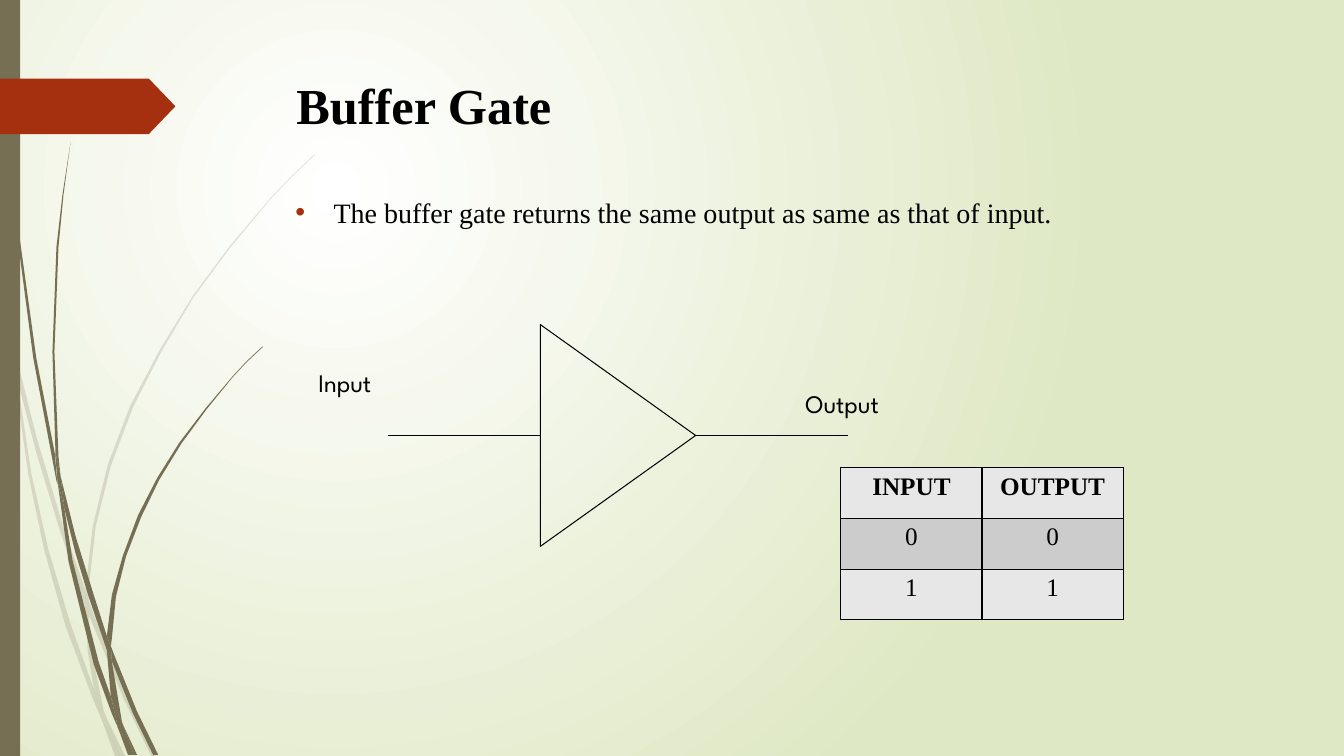
from lxml import etree
from pptx import Presentation
from pptx.dml.color import RGBColor
from pptx.enum.shapes import MSO_CONNECTOR, MSO_SHAPE
from pptx.enum.text import PP_ALIGN
from pptx.oxml.ns import qn
from pptx.util import Inches, Pt

WHITE = RGBColor(0xFF, 0xFF, 0xFF)
PALE_GREEN = RGBColor(0xDF, 0xE8, 0xC4)
OLIVE = RGBColor(0x76, 0x6F, 0x54)
RUST = RGBColor(0xA5, 0x30, 0x10)
BLACK = RGBColor(0, 0, 0)
LIGHT_GRAY = RGBColor(0xE7, 0xE7, 0xE7)
MID_GRAY = RGBColor(0xCC, 0xCC, 0xCC)

SERIF = "Times New Roman"
LABEL_FONT = "League Spartan"

FADED_BLADES = [
    [(0.11, 3.5), (0.09, 3.22), (0, 2.82), (0, 2.99), (0.1, 3.44)],
    [(0.58, 5.22), (0.84, 5.99), (0.85, 5.86), (0.62, 5.2), (0.36, 4.33), (0.14, 3.45),
     (0.17, 3.76), (0.36, 4.49)],
    [(0.92, 6.07), (0.88, 5.96), (0.88, 6.1), (1.23, 6.94), (1.5, 7.5), (1.55, 7.5),
     (1.27, 6.92)],
    [(1.19, 7.5), (1.24, 7.5), (1.05, 7.11)],
    [(0.93, 6.83), (0.7, 6.19), (0.48, 5.45), (0.31, 4.69), (0.17, 3.76), (0.11, 3.5),
     (0.28, 4.7), (0.44, 5.46), (0.65, 6.21), (0.92, 6.93), (1.01, 7.14), (0.99, 7.07)],
    [(0.84, 5.99), (0.87, 6.46), (0.93, 6.83), (0.96, 6.92), (1.05, 7.11), (1.03, 7.06),
     (0.91, 6.46), (0.88, 6.1), (0.88, 6.08)],
    [(0.88, 5.84), (0.95, 5.22), (1.1, 4.62), (1.32, 4.04), (1.6, 3.49), (1.92, 2.95),
     (2.29, 2.45), (2.68, 1.98), (2.9, 1.75), (3.12, 1.54), (3.12, 1.53), (2.89, 1.75),
     (2.68, 1.97), (2.28, 2.44), (1.91, 2.94), (1.58, 3.48), (1.29, 4.03), (1.07, 4.61),
     (0.92, 5.22), (0.85, 5.84), (0.85, 5.86), (0.88, 5.96)],
    [(1.01, 7.14), (1.14, 7.5), (1.19, 7.5)],
    [(0.88, 6.08), (0.88, 6.1), (0.88, 5.96), (0.85, 5.86), (0.84, 5.99)],
    [(0.96, 6.92), (0.93, 6.83), (0.99, 7.07), (1.01, 7.14), (1.19, 7.5), (1.05, 7.11)],
]
DARK_BLADES = [
    [(0.07, 1.1), (0.17, 2.33), (0.33, 3.55), (0.56, 4.77), (0.57, 4.81), (0.55, 4.57),
     (0.55, 4.53), (0.36, 3.55), (0.19, 2.32), (0.08, 1.09), (0.05, 0.48), (0.04, 0),
     (0.03, 0), (0.04, 0.48)],
    [(0.88, 5.92), (1.06, 6.45), (1.06, 6.33), (1.06, 6.31), (0.93, 5.9), (0.75, 5.32),
     (0.6, 4.72), (0.64, 5.05), (0.75, 5.49)],
    [(1.13, 6.49), (1.1, 6.41), (1.11, 6.56), (1.32, 7.08), (1.52, 7.49), (1.57, 7.49),
     (1.36, 7.06)],
    [(1.1, 6.91), (0.98, 6.57), (0.72, 5.56), (0.64, 5.05), (0.57, 4.77), (0.68, 5.57),
     (0.93, 6.59), (1.11, 7.08), (1.17, 7.22), (1.16, 7.17)],
    [(0.6, 4.72), (0.58, 4.53), (0.54, 3.49), (0.58, 2.45), (0.63, 1.93), (0.7, 1.41),
     (0.62, 1.93), (0.56, 2.45), (0.52, 3.49), (0.55, 4.49)],
    [(1.33, 7.49), (1.36, 7.49), (1.22, 7.19)],
    [(0.57, 4.77), (0.64, 5.05), (0.6, 4.72), (0.55, 4.49), (0.55, 4.53)],
    [(1.11, 6.33), (1.15, 5.92), (1.25, 5.52), (1.4, 5.13), (1.58, 4.76), (1.8, 4.4),
     (2.05, 4.06), (2.31, 3.74), (2.45, 3.59), (2.61, 3.44), (2.6, 3.44), (2.45, 3.58),
     (2.31, 3.73), (2.04, 4.05), (1.78, 4.39), (1.56, 4.74), (1.37, 5.11), (1.22, 5.51),
     (1.11, 5.9), (1.06, 6.31), (1.1, 6.41)],
    [(1.17, 7.22), (1.27, 7.49), (1.31, 7.49)],
    [(1.06, 6.45), (1.1, 6.91), (1.16, 7.06), (1.22, 7.19), (1.21, 7.16), (1.11, 6.56),
     (1.09, 6.51)],
    [(1.06, 6.45), (1.09, 6.51), (1.11, 6.56), (1.1, 6.41), (1.06, 6.31), (1.06, 6.33)],
    [(1.16, 7.06), (1.1, 6.91), (1.16, 7.17), (1.17, 7.22), (1.3, 7.49), (1.33, 7.49),
     (1.22, 7.19)],
]


def fill_plain(shape, color):
    shape.shadow.inherit = False
    shape.fill.solid()
    shape.fill.fore_color.rgb = color
    shape.line.fill.background()


def add_blade(slide, points, opacity):
    outline = [(Inches(x), Inches(y)) for x, y in points]
    builder = slide.shapes.build_freeform(*outline[0])
    builder.add_line_segments(outline[1:], close=True)
    blade = builder.convert_to_shape()
    fill_plain(blade, OLIVE)
    if opacity < 100:
        color = blade._element.spPr.find(qn("a:solidFill"))[0]
        etree.SubElement(color, qn("a:alpha"), val=str(opacity * 1000))


def add_backdrop(slide):
    fill = slide.background.fill
    fill.gradient()
    for stop, color, position in zip(fill.gradient_stops, (WHITE, PALE_GREEN), (0, 1)):
        stop.color.rgb = color
        stop.position = position
    gradient = slide._element.find(".//" + qn("a:gradFill"))
    circle = etree.Element(qn("a:path"), path="circle")
    etree.SubElement(circle, qn("a:fillToRect"), l="50000", t="50000", r="100000", b="100000")
    gradient.replace(gradient.find(qn("a:lin")), circle)


def add_side_decoration(slide, width, height):
    for blades, opacity in ((FADED_BLADES, 20), (DARK_BLADES, 100)):
        for points in blades:
            add_blade(slide, points, opacity)
    bar = slide.shapes.add_shape(MSO_SHAPE.RECTANGLE, 0, 0, width, height)
    fill_plain(bar, OLIVE)
    tag = slide.shapes.add_shape(
        MSO_SHAPE.PENTAGON, 0, Inches(0.78), Inches(1.74), Inches(0.55))
    tag.adjustments[0] = 0.48
    fill_plain(tag, RUST)


def add_run(paragraph, text, size, font, bold=False):
    run = paragraph.add_run()
    run.text = text
    run.font.size = Pt(size)
    run.font.name = font
    run.font.bold = bold
    run.font.color.rgb = BLACK


def add_text(slide, left, top, width, height, text, size, font, bold=False):
    box = slide.shapes.add_textbox(left, top, width, height)
    box.text_frame.word_wrap = True
    paragraph = box.text_frame.paragraphs[0]
    add_run(paragraph, text, size, font, bold)
    return paragraph


def add_bullet(paragraph, indent):
    paragraph.space_before = Pt(10)
    properties = paragraph._p.get_or_add_pPr()
    properties.set("marL", str(indent))
    properties.set("indent", str(-indent))
    bullet_color = etree.SubElement(properties, qn("a:buClr"))
    etree.SubElement(bullet_color, qn("a:srgbClr"), val=str(RUST))
    etree.SubElement(properties, qn("a:buFont"), typeface="Arial")
    etree.SubElement(properties, qn("a:buChar"), char="•")


def add_wire(slide, left, y, length):
    wire = slide.shapes.add_connector(MSO_CONNECTOR.STRAIGHT, left, y, left + length, y)
    wire.line.color.rgb = BLACK
    wire.line.width = Pt(0.75)
    etree.SubElement(wire._element.spPr, qn("a:effectLst"))


def add_buffer_gate(slide, left, middle):
    wire_length, depth, breadth = Inches(1.51), Inches(1.54), Inches(2.2)
    gate_left = left + wire_length
    gate = slide.shapes.add_shape(
        MSO_SHAPE.FLOWCHART_MERGE, gate_left + (depth - breadth) // 2,
        middle - depth // 2, breadth, depth)
    gate.rotation = 270
    gate.shadow.inherit = False
    gate.fill.background()
    gate.line.color.rgb = BLACK
    gate.line.width = Pt(0.75)
    for wire_left in (left, gate_left + depth):
        add_wire(slide, wire_left, middle, wire_length)
    for text, offset, rise in (("Input", -0.79, 0.73), ("Output", 4.04, 0.52)):
        add_text(slide, left + Inches(offset), middle - Inches(rise),
                 Inches(1.54), Inches(0.4), text, 18, LABEL_FONT)


def add_cell_borders(cell):
    properties = cell._tc.get_or_add_tcPr()
    for index, side in enumerate(("a:lnL", "a:lnR", "a:lnT", "a:lnB")):
        border = etree.Element(qn(side), w=str(Pt(1)))
        solid = etree.SubElement(border, qn("a:solidFill"))
        etree.SubElement(solid, qn("a:srgbClr"), val=str(BLACK))
        properties.insert(index, border)


def add_truth_table(slide, left, top, width, height):
    rows = (("INPUT", "OUTPUT"), ("0", "0"), ("1", "1"))
    table = slide.shapes.add_table(len(rows), 2, left, top, width, height).table
    for row_index, row in enumerate(rows):
        for column_index, text in enumerate(row):
            cell = table.cell(row_index, column_index)
            cell.fill.solid()
            cell.fill.fore_color.rgb = MID_GRAY if row_index % 2 else LIGHT_GRAY
            paragraph = cell.text_frame.paragraphs[0]
            paragraph.alignment = PP_ALIGN.CENTER
            add_run(paragraph, text, 18, SERIF, bold=row_index == 0)
            add_cell_borders(cell)


def main():
    presentation = Presentation()
    presentation.slide_width = Inches(13.33)
    presentation.slide_height = Inches(7.5)
    slide = presentation.slides.add_slide(presentation.slide_layouts[6])
    add_backdrop(slide)
    add_side_decoration(slide, Inches(0.2), presentation.slide_height)
    add_text(slide, Inches(2.84), Inches(0.69), Inches(9.75), Inches(1.4),
             "Buffer Gate", 36, SERIF, bold=True)
    statement = add_text(
        slide, Inches(2.83), Inches(1.89), Inches(9.75), Inches(4.13),
        "The buffer gate returns the same output as same as that of input.", 20, SERIF)
    add_bullet(statement, Inches(0.38))
    add_buffer_gate(slide, Inches(3.85), Inches(4.32))
    add_truth_table(slide, Inches(8.34), Inches(4.64), Inches(2.8), Inches(1.51))
    presentation.save("out.pptx")


if __name__ == "__main__":
    main()
